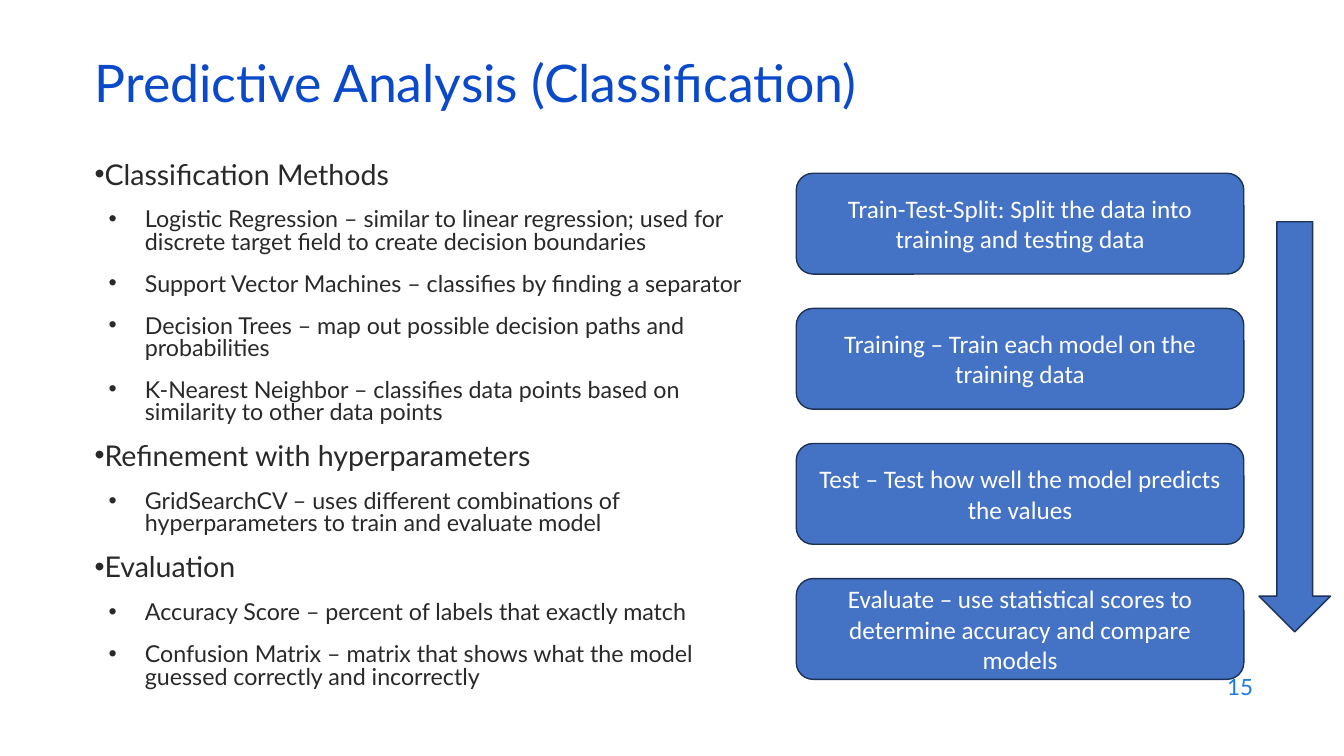
from lxml import etree
from pptx import Presentation
from pptx.dml.color import RGBColor
from pptx.enum import shapes, text
from pptx.oxml.ns import qn
from pptx.util import Pt

WHITE, INK, TITLE_BLUE, NUMBER_BLUE = "FFFFFF", "292929", "0B49CB", "1C7DDB"
STEP_FILL, STEP_LINE = "4472C4", "1E3256"

TOPICS = {
    "Classification Methods": [
        "Logistic Regression – similar to linear regression; used for discrete target field "
        "to create decision boundaries",
        "Support Vector Machines – classifies by finding a separator",
        "Decision Trees – map out possible decision paths and probabilities",
        "K-Nearest Neighbor – classifies data points based on similarity to other data points",
    ],
    "Refinement with hyperparameters": [
        "GridSearchCV – uses different combinations of hyperparameters to train and evaluate model",
    ],
    "Evaluation": [
        "Accuracy Score – percent of labels that exactly match",
        "Confusion Matrix – matrix that shows what the model guessed correctly and incorrectly",
    ],
}
STEPS = [
    "Train-Test-Split: Split the data into training and testing data",
    "Training – Train each model on the training data",
    "Test – Test how well the model predicts the values",
    "Evaluate – use statistical scores to determine accuracy and compare models",
]
# Left margin, first-line indent and text size of each outline level
LEVELS = [(0, 0, 20.4), (36, -26, 16.6)]


def color(hex_value):
    return RGBColor.from_string(hex_value)


def apply(target, values):
    for name, value in values.items():
        setattr(target, name, value)


def style_font(paragraph, size, hex_value, face="Lato"):
    apply(paragraph.font, {"size": Pt(size), "name": face, "bold": False})
    paragraph.font.color.rgb = color(hex_value)


def format_frame(frame, anchor):
    apply(frame, {"word_wrap": True, "auto_size": text.MSO_AUTO_SIZE.NONE,
                  "vertical_anchor": anchor})


def add_bullet(paragraph, margin, indent):
    properties = paragraph._p.get_or_add_pPr()
    properties.set("marL", str(Pt(margin)))
    properties.set("indent", str(Pt(indent)))
    etree.SubElement(properties, qn("a:buFont"), typeface="Arial")
    etree.SubElement(properties, qn("a:buChar"), char="•")


def set_title(slide, wording):
    title = slide.shapes.title
    apply(title, {"left": Pt(60.5), "top": Pt(42.5), "width": Pt(828), "height": Pt(43.2)})
    format_frame(title.text_frame, text.MSO_ANCHOR.MIDDLE)
    paragraph = title.text_frame.paragraphs[0]
    apply(paragraph, {"text": wording, "alignment": text.PP_ALIGN.LEFT, "line_spacing": 0.7})
    style_font(paragraph, 37, TITLE_BLUE)


def add_slide_number(slide, number):
    frame = slide.shapes.add_textbox(Pt(686.2), Pt(474.5), Pt(216), Pt(31.7)).text_frame
    format_frame(frame, text.MSO_ANCHOR.MIDDLE)
    paragraph = frame.paragraphs[0]
    apply(paragraph, {"text": number, "alignment": text.PP_ALIGN.RIGHT})
    style_font(paragraph, 16, NUMBER_BLUE)


def add_outline(slide, topics):
    frame = slide.shapes.add_textbox(Pt(60.5), Pt(113), Pt(494.6), Pt(413.3)).text_frame
    format_frame(frame, text.MSO_ANCHOR.TOP)
    entries = [entry for topic, details in topics.items()
               for entry in [(0, topic)] + [(1, detail) for detail in details]]
    for index, (level, wording) in enumerate(entries):
        paragraph = frame.add_paragraph() if index else frame.paragraphs[0]
        margin, indent, size = LEVELS[level]
        apply(paragraph, {"text": wording, "level": level, "line_spacing": 0.8,
                          "space_before": Pt(14 if index else 0)})
        add_bullet(paragraph, margin, indent)
        style_font(paragraph, size, INK)


def add_block(slide, preset, left, top, width, height):
    block = slide.shapes.add_shape(preset, Pt(left), Pt(top), Pt(width), Pt(height))
    block.shadow.inherit = False
    block.fill.solid()
    block.fill.fore_color.rgb = color(STEP_FILL)
    block.line.color.rgb = color(STEP_LINE)
    block.line.width = Pt(1)
    return block


def add_steps(slide, steps):
    for index, wording in enumerate(steps):
        step = add_block(slide, shapes.MSO_SHAPE.ROUNDED_RECTANGLE,
                         568.8, 123.8 + index * 96.5, 319.7, 72)
        format_frame(step.text_frame, text.MSO_ANCHOR.MIDDLE)
        paragraph = step.text_frame.paragraphs[0]
        apply(paragraph, {"text": wording, "alignment": text.PP_ALIGN.CENTER})
        style_font(paragraph, 18, WHITE, "Calibri")


def main():
    deck = Presentation()
    apply(deck, {"slide_width": Pt(960), "slide_height": Pt(540)})
    slide = deck.slides.add_slide(deck.slide_layouts.get_by_name("Title Only"))
    set_title(slide, "Predictive Analysis (Classification)")
    add_slide_number(slide, "15")
    add_outline(slide, TOPICS)
    add_steps(slide, STEPS)
    add_block(slide, shapes.MSO_SHAPE.DOWN_ARROW, 899.3, 158.4, 51.1, 293)
    deck.save("out.pptx")


if __name__ == "__main__":
    main()
